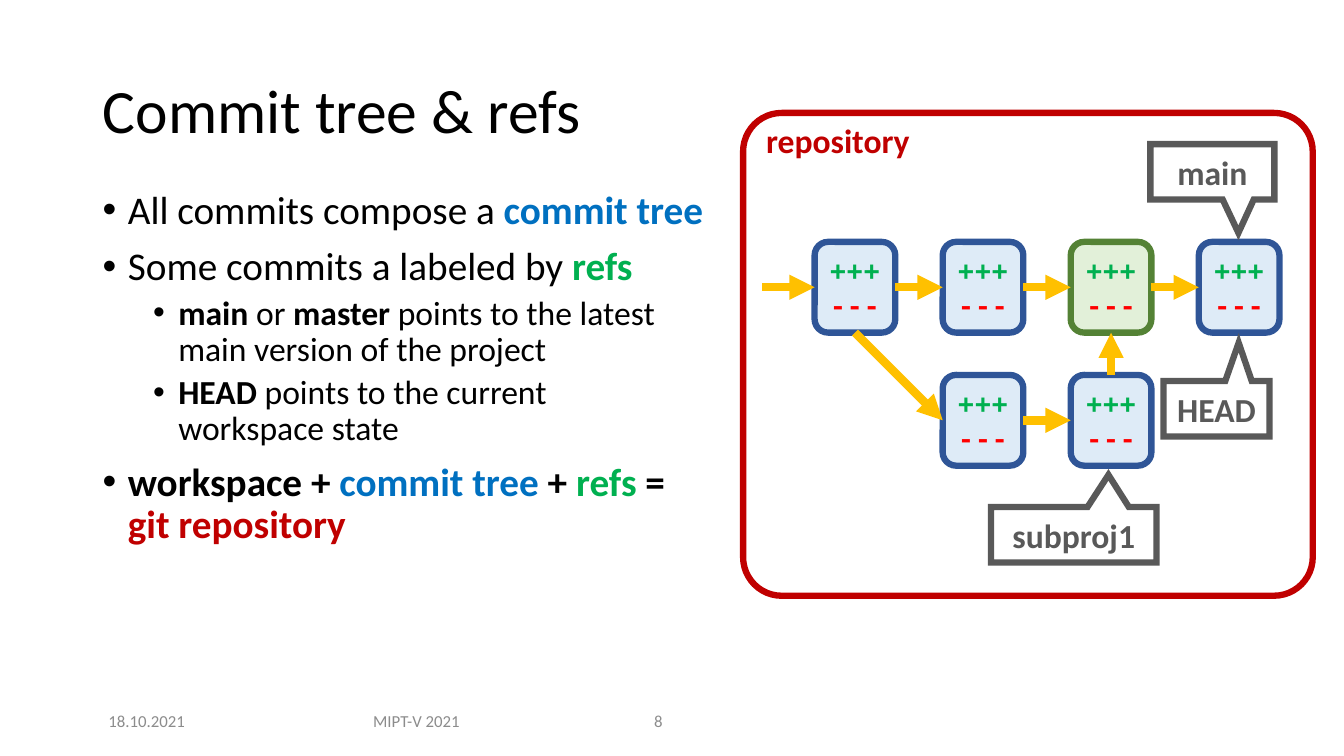
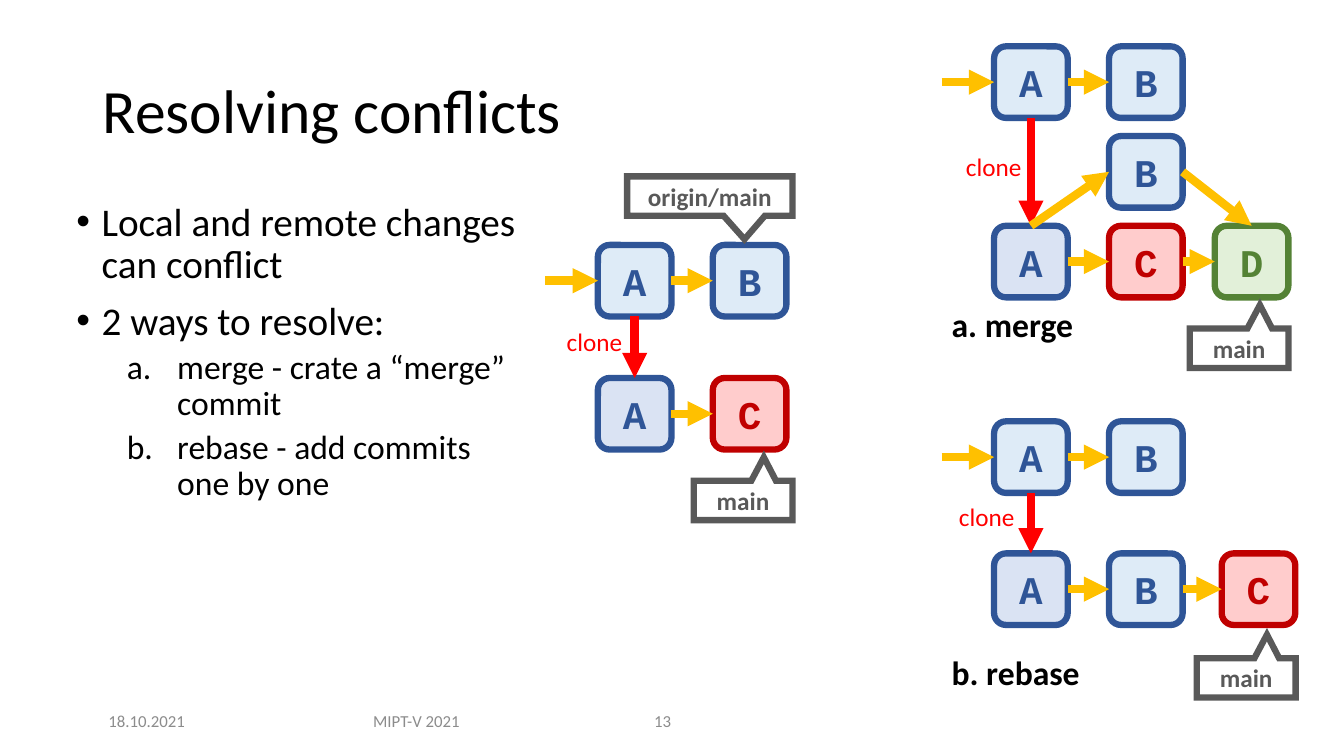
from lxml import etree
from pptx import Presentation
from pptx.dml.color import RGBColor
from pptx.enum.shapes import MSO_CONNECTOR, MSO_SHAPE
from pptx.enum.text import MSO_ANCHOR, MSO_AUTO_SIZE, PP_ALIGN
from pptx.oxml.ns import qn
from pptx.util import Inches, Pt

ROUNDED, CALLOUT = MSO_SHAPE.ROUNDED_RECTANGLE, MSO_SHAPE.RECTANGULAR_CALLOUT
STRAIGHT = MSO_CONNECTOR.STRAIGHT
MIDDLE, TOP_ANCHOR = MSO_ANCHOR.MIDDLE, MSO_ANCHOR.TOP
LEFT_ALIGN, CENTER, RIGHT_ALIGN = PP_ALIGN.LEFT, PP_ALIGN.CENTER, PP_ALIGN.RIGHT
NO_AUTOFIT = MSO_AUTO_SIZE.NONE
TOP, LEFT, BOTTOM, RIGHT = range(4)

COLORS = {
    "black": "000000", "white": "FFFFFF", "footer": "8C8C8C", "gray": "595959",
    "blue": "0070C0", "green": "00B050", "red": "FF0000", "dark red": "C00000",
    "arrow": "FFC000", "navy": "2F5597", "light blue": "DEEBF7",
    "pale blue": "DAE3F3", "forest": "548235", "light green": "E2F0D9",
    "light red": "FFCCCC",
}
NODE_STYLES = {
    "remote": ("light blue", "navy"), "local": ("pale blue", "navy"),
    "merged": ("light green", "forest"), "changed": ("light red", "dark red"),
}
BODY_FONT, CODE_FONT = "Calibri", "Courier New"
ENTRY_LENGTH = 0.52
FOOTER = [("18.10.2021", 0.92, 1.07, CENTER), ("MIPT-V 2021", 3.34, 1.58, CENTER)]
NUMBER_LEFT, NUMBER_WIDTH = 6.39, 0.79
BULLET = ("buChar", {"char": "•"})
LETTER = ("buAutoNum", {"type": "alphaLcPeriod"})
LIST_STYLES = {
    "main": (28, 10, 0.25, -0.25, BULLET),
    "sub": (24, 5, 0.75, -0.25, BULLET),
    "letter": (24, 5, 1, -0.5, LETTER),
}
DIFF = [("+++", "green"), ("---", "red")]

COMMIT_TREE = {
    "origin": (8.08, 2.4), "step": (1.27, 1.32), "node": (0.8, 0.9), "size": 20,
    "nodes": {
        "first": (DIFF, "remote", 0, 0), "second": (DIFF, "remote", 1, 0),
        "merge": (DIFF, "merged", 2, 0), "latest": (DIFF, "remote", 3, 0),
        "branch": (DIFF, "remote", 1, 1), "tip": (DIFF, "remote", 2, 1),
    },
    "arrows": [
        (None, RIGHT, "first", LEFT, "arrow"),
        ("first", RIGHT, "second", LEFT, "arrow"),
        ("second", RIGHT, "merge", LEFT, "arrow"),
        ("merge", RIGHT, "latest", LEFT, "arrow"),
        ("first", BOTTOM, "branch", LEFT, "arrow"),
        ("branch", RIGHT, "tip", LEFT, "arrow"),
        ("tip", TOP, "merge", BOTTOM, "arrow"),
    ],
}


def clone_graph(origin, drop, extra_nodes, extra_arrows):
    return {
        "origin": origin, "step": (1.14, drop), "node": (0.73, 0.71), "size": 28,
        "nodes": {
            "remote A": ([("A", "navy")], "remote", 0, 0),
            "remote B": ([("B", "navy")], "remote", 1, 0),
            "local A": ([("A", "navy")], "local", 0, 1),
            **extra_nodes,
        },
        "arrows": [
            (None, RIGHT, "remote A", LEFT, "arrow"),
            ("remote A", RIGHT, "remote B", LEFT, "arrow"),
            ("remote A", BOTTOM, "local A", TOP, "red"),
            *extra_arrows,
        ],
    }


LOCAL_B, LOCAL_C = [("B", "navy")], [("C", "dark red")]
A_TO_C = ("local A", RIGHT, "C", LEFT, "arrow")
CONFLICT = clone_graph((5.93, 2.43), 1.32, {"C": (LOCAL_C, "changed", 1, 1)}, [A_TO_C])
MERGE = clone_graph(
    (9.86, 0.46), 1.78,
    {"B": (LOCAL_B, "remote", 1, 0.5), "C": (LOCAL_C, "changed", 1, 1),
     "D": ([("D", "forest")], "merged", 1.92, 1)},
    [A_TO_C, ("C", RIGHT, "D", LEFT, "arrow"),
     ("local A", TOP, "B", LEFT, "arrow"), ("B", RIGHT, "D", TOP, "arrow")],
)
REBASE = clone_graph(
    (9.86, 4.18), 1.31,
    {"B": (LOCAL_B, "remote", 1, 1), "C": (LOCAL_C, "changed", 1.98, 1)},
    [("local A", RIGHT, "B", LEFT, "arrow"), ("B", RIGHT, "C", LEFT, "arrow")],
)

SLIDES = [
    {
        "title": "Commit tree & refs", "number": "8",
        "body_box": (0.92, 1.84, 6.32, 4.38),
        "body": [
            ("main", [("All commits compose a ", "black", False),
                      ("commit tree", "blue", True)]),
            ("main", [("Some commits a labeled by ", "black", False),
                      ("refs", "green", True)]),
            ("sub", [("main ", "black", True), ("or", "black", False),
                     (" master ", "black", True),
                     ("points to the latest main version of the project", "black", False)]),
            ("sub", [("HEAD ", "black", True),
                     ("points to the current\nworkspace state", "black", False)]),
            ("main", [("workspace + ", "black", True), ("commit tree", "blue", True),
                      (" + ", "black", True), ("refs", "green", True),
                      (" =\n", "black", True), ("git repository", "dark red", True)]),
        ],
        "graphs": [COMMIT_TREE],
        "callout_size": 24,
        "callouts": [
            ("subproj1", (9.83, 5.03, 1.64, 0.55), (0.21, -1.08)),
            ("main", (11.41, 1.43, 1.23, 0.55), (0.21, 1.1)),
            ("HEAD", (11.54, 3.78, 1.05, 0.55), (0.21, -1.19)),
        ],
        "frames": [(7.37, 1.12, 5.65, 4.79)],
        "labels": [("repository", (7.5, 1.14, 2.24, 0.5), 24, "dark red", True, LEFT_ALIGN)],
    },
    {
        "title": "Resolving conflicts", "number": "13",
        "body_box": (0.66, 1.96, 4.64, 4.52),
        "body": [
            ("main", [("Local and remote changes\ncan conflict", "black", False)]),
            ("main", [("2 ways to resolve:", "black", False)]),
            ("letter", [("merge - crate a “merge” commit", "black", False)]),
            ("letter", [("rebase - add commits one by one", "black", False)]),
        ],
        "graphs": [CONFLICT, MERGE, REBASE],
        "callout_size": 18,
        "callouts": [("origin/main", (6.22, 1.75, 1.64, 0.39), (0.21, 1.1))] + [
            ("main", (left, top, 0.98, 0.39), (0.21, -1.1))
            for left, top in [(6.88, 4.77), (11.8, 3.26), (11.87, 6.53)]
        ],
        "frames": [],
        "labels": [
            ("clone", (left, top, 1.03, 0.4), 18, "red", False, RIGHT_ALIGN)
            for left, top in [(5.24, 3.19), (9.2, 1.45), (9.13, 4.92)]
        ] + [
            (text, (9.34, top, 1.49, 0.5), 24, "black", True, LEFT_ALIGN)
            for text, top in [("a. merge", 2.97), ("b. rebase", 6.42)]
        ],
    },
]


def rgb(name):
    return RGBColor.from_string(COLORS[name])


def inches(values):
    return [Inches(value) for value in values]


def add_child(parent, tag, **attributes):
    return etree.SubElement(parent, qn("a:" + tag), attributes)


def set_font(font, size, color, bold=False, name=BODY_FONT):
    font.name, font.size, font.bold = name, Pt(size), bold
    font.color.rgb = rgb(color)


def write_lines(frame, lines, size, bold, alignment, anchor, name=BODY_FONT):
    frame.word_wrap = True
    frame.vertical_anchor = anchor
    for index, (text, color) in enumerate(lines):
        paragraph = frame.add_paragraph() if index else frame.paragraphs[0]
        paragraph.text = text
        paragraph.alignment = alignment
        set_font(paragraph.font, size, color, bold, name)


def add_label(slide, text, box, size, color, bold, alignment, anchor=TOP_ANCHOR):
    frame = slide.shapes.add_textbox(*inches(box)).text_frame
    write_lines(frame, [(text, color)], size, bold, alignment, anchor)


def add_outlined(slide, kind, box, fill, line):
    shape = slide.shapes.add_shape(kind, *inches(box))
    shape.shadow.inherit = False
    if fill:
        shape.fill.solid()
        shape.fill.fore_color.rgb = rgb(fill)
    else:
        shape.fill.background()
    shape.line.color.rgb = rgb(line)
    shape.line.width = Pt(4.5)
    add_child(shape.element.spPr.find(qn("a:ln")), "miter", lim="800000")
    return shape


def add_arrow(slide, start, start_side, end, end_side, color):
    middle = end.top + end.height // 2
    connector = slide.shapes.add_connector(
        STRAIGHT, end.left - Inches(ENTRY_LENGTH), middle, end.left, middle)
    if start is not None:
        connector.begin_connect(start, start_side)
    connector.end_connect(end, end_side)
    connector.line.color.rgb = rgb(color)
    connector.line.width = Pt(6)
    properties = connector.element.spPr
    outline = properties.find(qn("a:ln"))
    add_child(outline, "miter", lim="800000")
    add_child(outline, "tailEnd", type="triangle")
    add_child(properties, "effectLst")


def add_graph(slide, graph):
    (left, top), (step_x, step_y) = graph["origin"], graph["step"]
    nodes = {None: None}
    for key, (lines, style, column, row) in graph["nodes"].items():
        box = (left + column * step_x, top + row * step_y, *graph["node"])
        nodes[key] = add_outlined(slide, ROUNDED, box, *NODE_STYLES[style])
        write_lines(nodes[key].text_frame, lines, graph["size"], True, CENTER, MIDDLE, CODE_FONT)
    for start, start_side, end, end_side, color in graph["arrows"]:
        add_arrow(slide, nodes[start], start_side, nodes[end], end_side, color)


def add_title(slide, text):
    title = slide.shapes.title
    title.left, title.top, title.width, title.height = inches((0.92, 0.4, 11.5, 1.45))
    title.text_frame.auto_size = NO_AUTOFIT
    write_lines(title.text_frame, [(text, "black")], 44, False, LEFT_ALIGN, MIDDLE)
    title.text_frame.paragraphs[0].line_spacing = 0.9


def add_body(slide, box, items):
    frame = slide.shapes.add_textbox(*inches(box)).text_frame
    frame.word_wrap = True
    for index, (style, runs) in enumerate(items):
        size, space, margin, indent, (bullet, attributes) = LIST_STYLES[style]
        paragraph = frame.add_paragraph() if index else frame.paragraphs[0]
        properties = paragraph._p.get_or_add_pPr()
        properties.set("marL", str(Inches(margin)))
        properties.set("indent", str(Inches(indent)))
        add_child(properties, "buFont", typeface="Arial" if bullet == "buChar" else "+mj-lt")
        add_child(properties, bullet, **attributes)
        paragraph.line_spacing = 0.9
        paragraph.space_before = Pt(space if index else 0)
        paragraph.font.name, paragraph.font.size = BODY_FONT, Pt(size)
        for text, color, bold in runs:
            for part_index, part in enumerate(text.split("\n")):
                if part_index:
                    paragraph.add_line_break()
                if part:
                    run = paragraph.add_run()
                    run.text = part
                    run.font.bold = bold
                    run.font.color.rgb = rgb(color)


def build_slide(presentation, content):
    slide = presentation.slides.add_slide(presentation.slide_layouts[5])
    add_title(slide, content["title"])
    add_body(slide, content["body_box"], content["body"])
    number = (content["number"], NUMBER_LEFT, NUMBER_WIDTH, LEFT_ALIGN)
    for text, left, width, alignment in FOOTER + [number]:
        add_label(slide, text, (left, 6.95, width, 0.4), 12, "footer", False, alignment, MIDDLE)
    for graph in content["graphs"]:
        add_graph(slide, graph)
    for text, box, tip in content["callouts"]:
        callout = add_outlined(slide, CALLOUT, box, "white", "gray")
        callout.adjustments[0], callout.adjustments[1] = tip
        write_lines(callout.text_frame, [(text, "gray")], content["callout_size"],
                    True, CENTER, MIDDLE)
    for box in content["frames"]:
        add_outlined(slide, ROUNDED, box, None, "dark red").adjustments[0] = 0.08
    for label in content["labels"]:
        add_label(slide, *label)


def main():
    presentation = Presentation()
    presentation.slide_width, presentation.slide_height = inches((13.33, 7.5))
    for content in SLIDES:
        build_slide(presentation, content)
    presentation.save("out.pptx")


if __name__ == "__main__":
    main()
